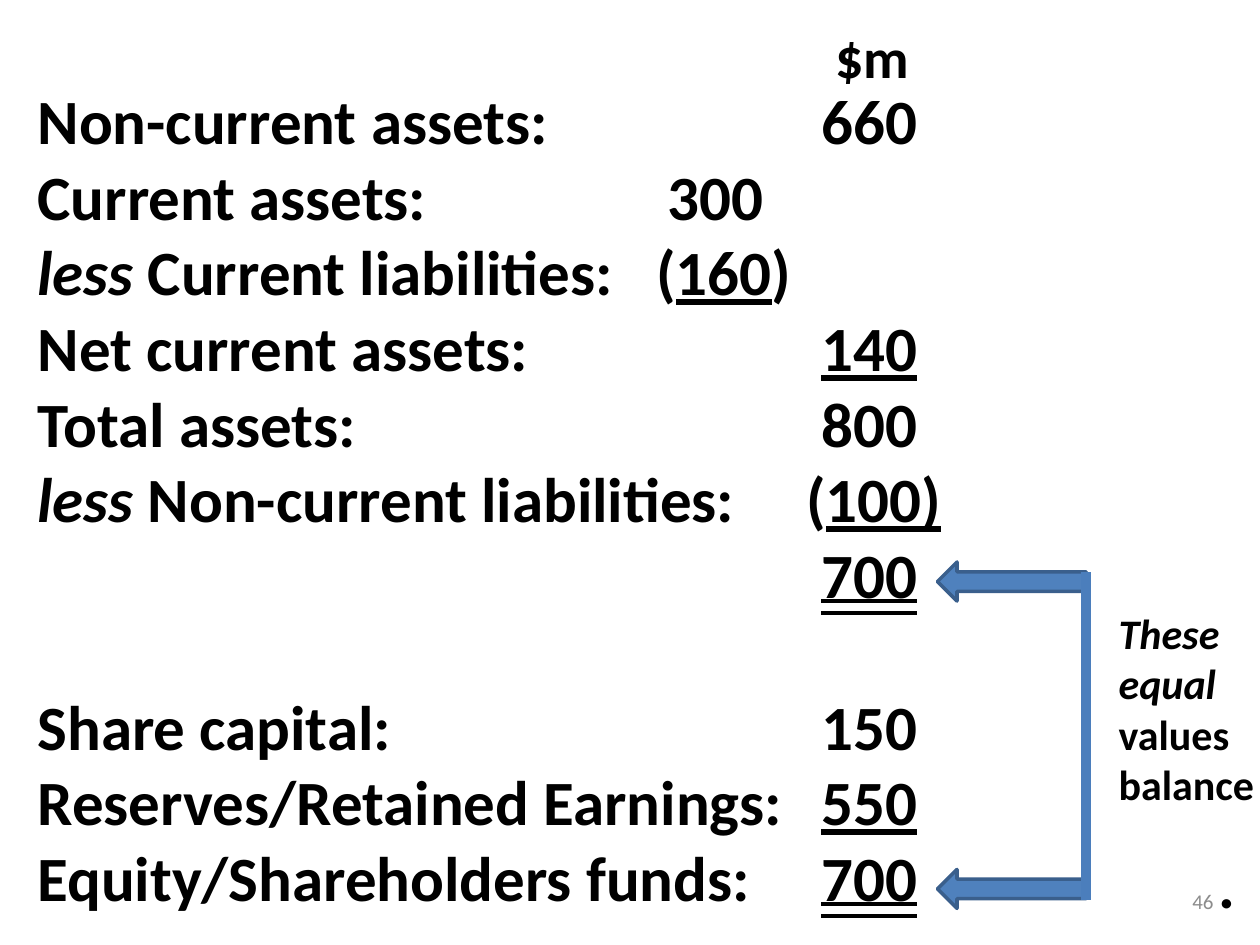
from lxml.etree import SubElement
from pptx import Presentation
from pptx.dml.color import RGBColor
from pptx.enum.shapes import MSO_CONNECTOR, MSO_SHAPE
from pptx.enum.text import MSO_ANCHOR, MSO_UNDERLINE, PP_ALIGN
from pptx.oxml.ns import qn
from pptx.util import Inches, Pt

COLORS = {"text": "000000", "number": "8C8C8C", "arrow": "4F81BD",
          "arrow_line": "3A5F8C", "bracket": "4B7EBC"}
FONT = "Calibri"
SINGLE, DOUBLE = MSO_UNDERLINE.SINGLE_LINE, MSO_UNDERLINE.DOUBLE_LINE

# Tab position of each kind of amount, measured from the text edge
TABS = {"inner": 5.0, "inner_bracket": 4.91, "outer": 6.22, "outer_bracket": 6.1}

# Italic prefix, label, tab, amount as (text, underline) parts
ROWS = [
    ("", "Non-current assets:", "outer", [("660", None)]),
    ("", "Current assets:", "inner", [("300", None)]),
    ("less", " Current liabilities:", "inner_bracket",
     [("(", None), ("160", SINGLE), (")", None)]),
    ("", "Net current assets:", "outer", [("140", SINGLE)]),
    ("", "Total assets:", "outer", [("800", None)]),
    ("less", " Non-current liabilities:", "outer_bracket",
     [("(", None), ("100)", SINGLE)]),
    ("", "", "outer", [("700", DOUBLE)]),
    ("", "Share capital:", "outer", [("150", None)]),
    ("", "Reserves/Retained Earnings:", "outer", [("550", SINGLE)]),
    ("", "Equity/Shareholders funds:", "outer", [("700", DOUBLE)]),
]
EQUITY_START = 7
NOTE = [("These", True), ("equal", True), ("values", False), ("balance", False)]
# Text, box, size, colour, bold, alignment, anchor
LABELS = [
    ("$m", (6.53, 0.13, 0.79, 0.64), 32, "text", True, PP_ALIGN.LEFT, MSO_ANCHOR.TOP),
    ("46", (7.17, 6.95, 2.56, 0.4), 12, "number", False, PP_ALIGN.RIGHT, MSO_ANCHOR.MIDDLE),
    (".", (9.57, 6.66, 0.5, 0.71), 36, "text", True, PP_ALIGN.LEFT, MSO_ANCHOR.TOP),
]
ARROW_TOPS = [4.46, 6.9]
ARROW_LEFT, ARROW_WIDTH, ARROW_HEIGHT = 7.44, 1.18, 0.31


def rgb(name):
    return RGBColor.from_string(COLORS[name])


def add_text_frame(s, box, anchor=MSO_ANCHOR.TOP):
    tf = s.shapes.add_textbox(*map(Inches, box)).text_frame
    tf.word_wrap = True
    tf.vertical_anchor = anchor
    return tf


def paragraphs(tf, count):
    return [tf.paragraphs[0]] + [tf.add_paragraph() for _ in range(count - 1)]


def style(font, size, color="text", bold=True, italic=False):
    font.name, font.size, font.bold, font.italic = FONT, Pt(size), bold, italic
    font.color.rgb = rgb(color)


def add_tab_stop(p, position):
    tabs = SubElement(p._p.get_or_add_pPr(), qn("a:tabLst"))
    SubElement(tabs, qn("a:tab"), pos=str(Inches(position)), algn="l")


def add_balance_sheet(s):
    tf = add_text_frame(s, (0.2, 0.6, 9.8, 6.77))
    for i, (p, row) in enumerate(zip(paragraphs(tf, len(ROWS)), ROWS)):
        prefix, label, tab, amount = row
        add_tab_stop(p, TABS[tab])
        if i == EQUITY_START:
            p.space_before = Pt(43.5)
        for text, underline in [(prefix, None), (label + "\t", None), *amount]:
            if text:
                r = p.add_run()
                r.text = text
                style(r.font, 36, italic=text == prefix)
                r.font.underline = underline


def add_bracket(s):
    for top in ARROW_TOPS:
        sp = s.shapes.add_shape(MSO_SHAPE.RIGHT_ARROW, Inches(ARROW_LEFT), Inches(top),
                                Inches(ARROW_WIDTH), Inches(ARROW_HEIGHT))
        sp.rotation = 180
        sp.shadow.inherit = False
        sp.fill.solid()
        sp.fill.fore_color.rgb = rgb("arrow")
        sp.line.color.rgb = rgb("arrow_line")
        sp.line.width = Pt(2)
    x = Inches(ARROW_LEFT + ARROW_WIDTH)
    line = s.shapes.add_connector(MSO_CONNECTOR.STRAIGHT, x, Inches(4.54), x, Inches(7.14))
    line.line.color.rgb = rgb("bracket")
    line.line.width = Pt(6)
    SubElement(line._element.spPr, qn("a:effectLst"))


def add_note(s):
    tf = add_text_frame(s, (8.78, 4.77, 1.29, 2.52))
    for p, (text, italic) in zip(paragraphs(tf, len(NOTE)), NOTE):
        p.text = text
        style(p.runs[0].font, 24, italic=italic)


def add_labels(s):
    for text, box, size, color, bold, align, anchor in LABELS:
        tf = add_text_frame(s, box, anchor)
        tf.text = text
        p = tf.paragraphs[0]
        p.alignment = align
        style(p.runs[0].font, size, color, bold)


def main():
    prs = Presentation()
    prs.slide_width, prs.slide_height = Inches(10), Inches(7.5)
    s = prs.slides.add_slide(prs.slide_layouts[6])
    add_balance_sheet(s)
    add_bracket(s)
    add_note(s)
    add_labels(s)
    prs.save("out.pptx")


if __name__ == "__main__":
    main()
